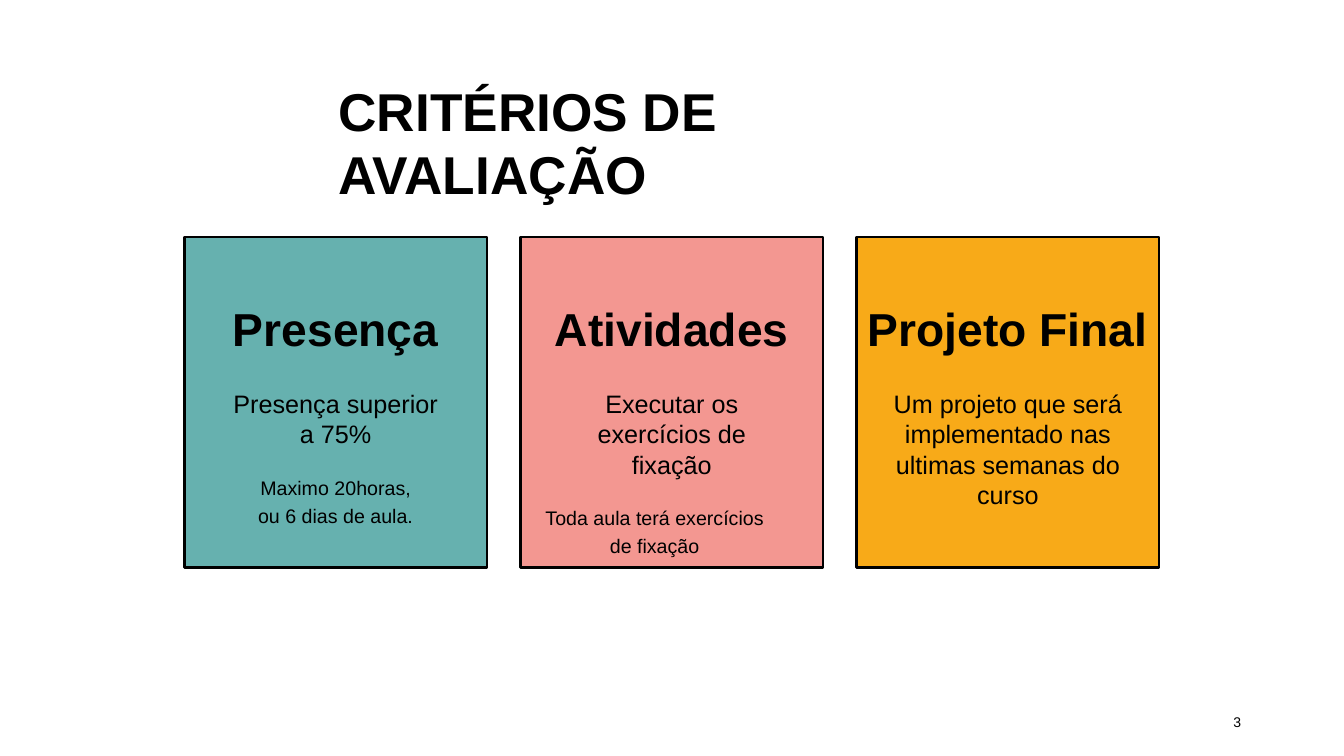
from pptx import Presentation
from pptx.dml.color import RGBColor
from pptx.enum.shapes import MSO_SHAPE
from pptx.enum.text import MSO_ANCHOR, MSO_AUTO_SIZE, PP_ALIGN
from pptx.util import Cm, Pt

COLORS = {"ink": "000000", "teal": "66B1AF", "pink": "F39791", "amber": "F8AA18"}
FONT = "Arial"

# Heading, fill, body, body side margin, notes, notes right margin (cm)
CRITERIA = [
    ("Presença", "teal", "Presença superior a 75%", 1.1,
     ["Maximo 20horas,", "ou 6 dias de aula."], 0),
    ("Atividades", "pink", "Executar os exercícios de fixação", 1,
     ["Toda aula terá exercícios", "de fixação"], 0.86),
    ("Projeto Final", "amber",
     "Um projeto que será implementado nas ultimas semanas do curso", 0.88, [], 0),
]


def color(name):
    return RGBColor.from_string(COLORS[name])


def prepare_frame(frame, top=0.03, left=0):
    frame.word_wrap = True
    frame.auto_size = MSO_AUTO_SIZE.NONE
    frame.vertical_anchor = MSO_ANCHOR.TOP
    frame.margin_left, frame.margin_top = Cm(left), Cm(top)
    frame.margin_right = frame.margin_bottom = 0


def add_run(paragraph, text, size, bold=False):
    run = paragraph.add_run()
    run.text = text
    font = run.font
    font.name, font.size, font.bold = FONT, Pt(size), bold
    font.color.rgb = color("ink")


def add_centered(paragraph, text, size, before=0, left=0, right=0, bold=False):
    paragraph.alignment = PP_ALIGN.CENTER
    paragraph.space_before = Pt(before)
    properties = paragraph._p.get_or_add_pPr()
    properties.set("marL", str(Cm(left)))
    properties.set("marR", str(Cm(right)))
    add_run(paragraph, text, size, bold)


def place_title(slide, left, top, width, height):
    title = slide.shapes.title
    title.left, title.top, title.width, title.height = map(
        Cm, (left, top, width, height))
    prepare_frame(title.text_frame, top=0.06, left=0.05)
    heading = title.text_frame.paragraphs[0]
    heading.alignment = PP_ALIGN.LEFT
    add_run(heading, "CRITÉRIOS DE", 38, bold=True)
    heading.add_line_break()
    add_run(heading, "AVALIAÇÃO", 38, bold=True)


def add_card(slide, left, top, width, height, criterion):
    heading, fill, body, margin, notes, notes_right = criterion
    card = slide.shapes.add_shape(
        MSO_SHAPE.RECTANGLE, *map(Cm, (left, top, width, height)))
    card.shadow.inherit = False
    card.fill.solid()
    card.fill.fore_color.rgb = color(fill)
    card.line.color.rgb = color("ink")
    card.line.width = Pt(1.8)

    frame = card.text_frame
    prepare_frame(frame, top=1.6)
    add_centered(frame.paragraphs[0], heading, 33, bold=True)
    add_centered(frame.add_paragraph(), body, 18, 23.3, margin, margin)
    for index, note in enumerate(notes):
        add_centered(frame.add_paragraph(), note, 14,
                     before=3.3 if index else 19, right=notes_right)


def add_cards(slide, left, top, width, height, gap):
    card_width = (width - gap * (len(CRITERIA) - 1)) / len(CRITERIA)
    for column, criterion in enumerate(CRITERIA):
        add_card(slide, left + column * (card_width + gap), top,
                 card_width, height, criterion)


def add_page_number(slide, left, top, width, height):
    page = slide.shapes.add_textbox(*map(Cm, (left, top, width, height)))
    prepare_frame(page.text_frame, top=0.06, left=0.02)
    page.text_frame.word_wrap = False
    add_run(page.text_frame.paragraphs[0], "3", 10)


def main():
    deck = Presentation()
    deck.slide_width, deck.slide_height = Cm(33.87), Cm(19.05)
    slide = deck.slides.add_slide(deck.slide_layouts.get_by_name("Title Only"))
    place_title(slide, 8.48, 1.9, 16.87, 1.68)
    add_cards(slide, 4.65, 5.97, 24.56, 8.33, gap=0.85)
    add_page_number(slide, 31.06, 17.91, 0.25, 0.48)
    deck.save("out.pptx")


if __name__ == "__main__":
    main()
